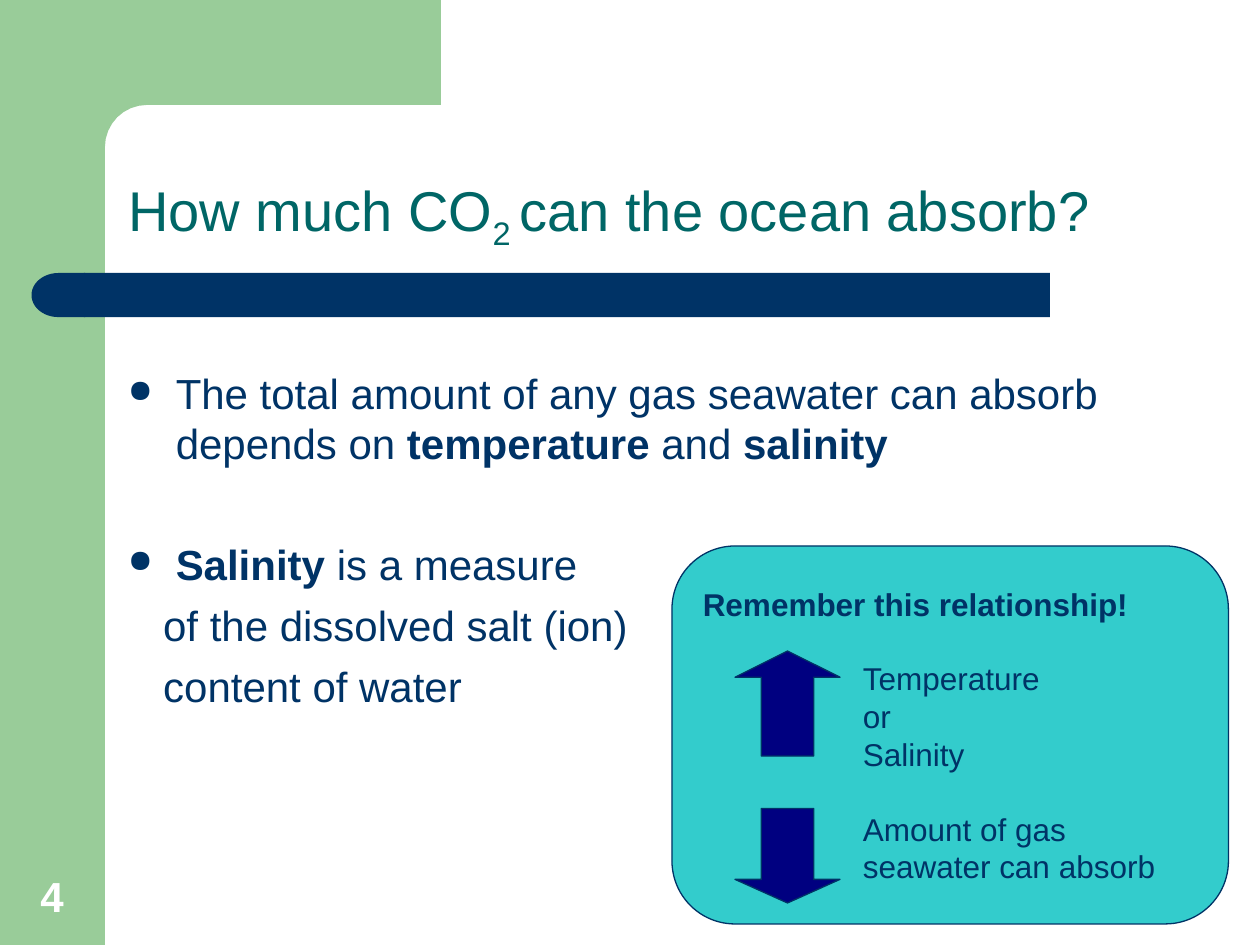
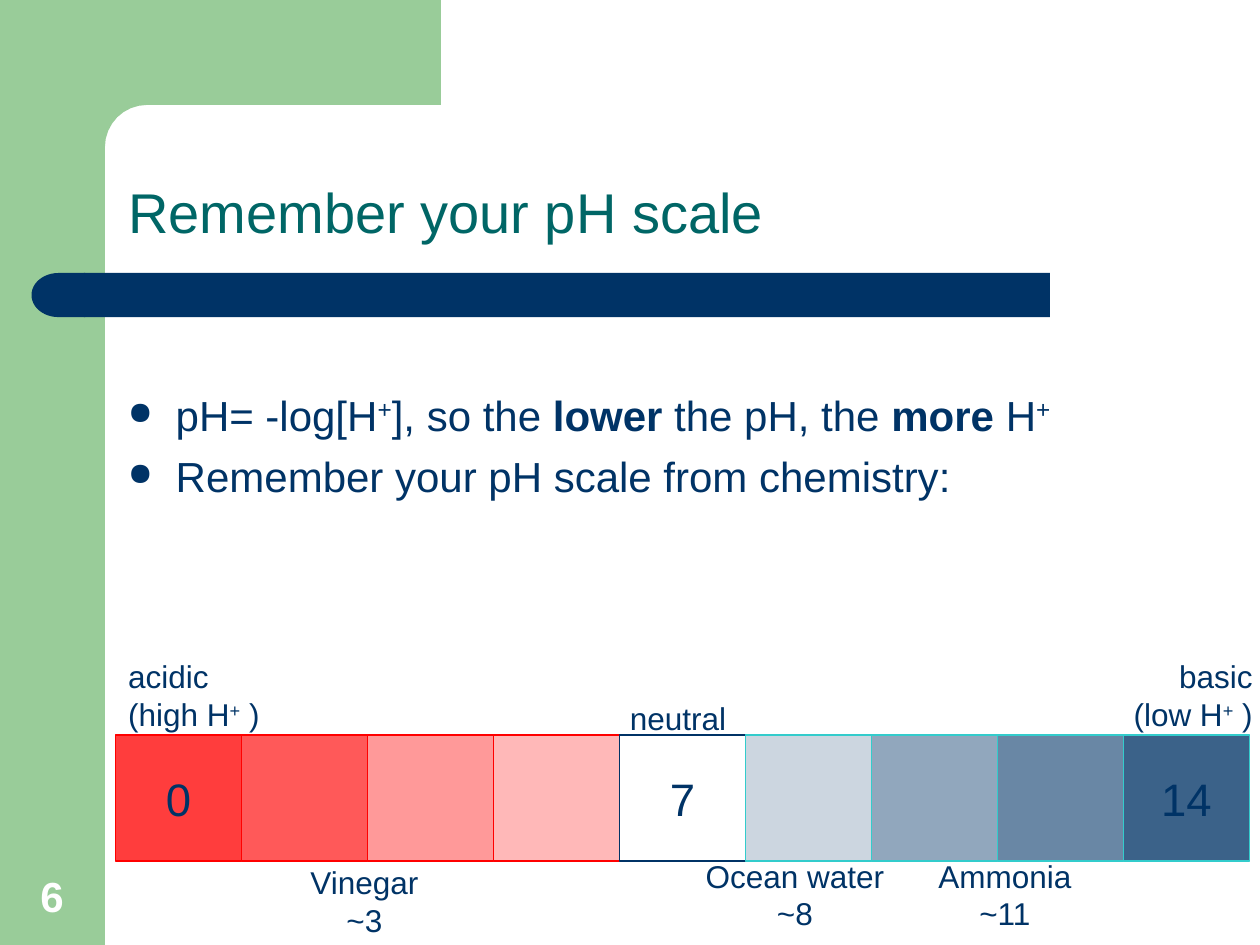
from dataclasses import dataclass
from math import cos, pi, sin

from lxml.etree import SubElement
from pptx import Presentation
from pptx.dml.color import RGBColor
from pptx.enum.shapes import MSO_SHAPE as Shape
from pptx.enum.text import MSO_ANCHOR as Anchor, PP_ALIGN as Align
from pptx.oxml.ns import qn
from pptx.util import Inches, Pt

COLUMNS, ROWS = 120, 90
UNIT = Inches(10) // COLUMNS


@dataclass(frozen=True)
class Theme:
    font: str = "Arial"
    green: str = "99CC99"
    navy: str = "003366"
    teal: str = "006666"
    aqua: str = "33CCCC"
    arrow: str = "000080"
    red: str = "FF0000"
    white: str = "FFFFFF"
    title_size: float = 32
    body_size: float = 24
    label_size: float = 18
    scale_size: float = 26
    number_size: float = 24


THEME = Theme()
BASELINES = {"sub": "-25000", "sup": "30000"}


@dataclass(frozen=True)
class Box:
    """A rectangle in grid columns and rows."""
    x: float
    y: float
    w: float
    h: float

    def area(self, x, y, w, h):
        return Box(self.x + x, self.y + y, w, h)

    def emu(self):
        return [round(value * UNIT) for value in (self.x, self.y, self.w, self.h)]


def apply(target, values):
    for name, value in values.items():
        setattr(target, name, value)


def color(value):
    return RGBColor.from_string(value)


def set_frame(frame, anchor=Anchor.TOP, side=0.1):
    apply(frame, dict(word_wrap=True, vertical_anchor=anchor,
                      margin_left=Inches(side), margin_right=Inches(side),
                      margin_top=Inches(0.05), margin_bottom=Inches(0.05)))


def write(para, spans, size, ink=THEME.navy, **layout):
    """Fill a paragraph from a string or a list of strings and (text, style) pairs."""
    apply(para, layout)
    for item in [spans] if isinstance(spans, str) else spans:
        text, style = (item, "") if isinstance(item, str) else item
        span = para.add_run()
        span.text = text
        apply(span.font, dict(name=THEME.font, size=Pt(size), bold=style == "bold"))
        span.font.color.rgb = color(ink)
        if style in BASELINES:
            span.font._element.set("baseline", BASELINES[style])


def paragraphs(frame, count):
    return [frame.paragraphs[0]] + [frame.add_paragraph() for _ in range(count - 1)]


def indent(para, left, hanging=0.0):
    props = para._p.get_or_add_pPr()
    props.set("marL", str(Inches(left)))
    props.set("indent", str(-Inches(hanging)))
    return props


def add_bullet(para):
    props = indent(para, 0.38, 0.38)
    SubElement(SubElement(props, qn("a:buClr")), qn("a:srgbClr"), val=THEME.navy)
    SubElement(props, qn("a:buSzPct"), val="75000")
    SubElement(props, qn("a:buChar"), char="●")


def paint(shape, fill, line=None, opacity=None):
    shape.shadow.inherit = False
    shape.fill.solid()
    shape.fill.fore_color.rgb = color(fill)
    if opacity is not None:
        tint = shape._element.spPr.find(f"{qn('a:solidFill')}/{qn('a:srgbClr')}")
        SubElement(tint, qn("a:alpha"), val=str(opacity * 1000))
    if line:
        shape.line.color.rgb = color(line)
        shape.line.width = Pt(0.75)
    else:
        shape.line.fill.background()


def add_block(page, kind, box, fill, line=None, opacity=None, rotation=0):
    shape = page.shapes.add_shape(kind, *box.emu())
    paint(shape, fill, line, opacity)
    shape.rotation = rotation
    return shape


def add_text_box(page, box, **frame_format):
    frame = page.shapes.add_textbox(*box.emu()).text_frame
    set_frame(frame, **frame_format)
    return frame


def add_green_corner(page, box, band, radius=4):
    """Top band that curves into the side band, whose width is `band`."""
    center = band + radius
    arc = [(center - radius * sin(step * pi / 16), center - radius * cos(step * pi / 16))
           for step in range(9)]
    inner = 6
    outline = [(box.w, 0), (box.w, band), *arc, (band, box.h), (inner, box.h), (inner, 0)]
    points = [(round((box.x + x) * UNIT), round((box.y + y) * UNIT)) for x, y in outline]
    builder = page.shapes.build_freeform(*points[0], scale=1.0)
    builder.add_line_segments(points[1:], close=True)
    paint(builder.convert_to_shape(), THEME.green)


def add_decoration(page, box):
    band = 10
    add_block(page, Shape.RECTANGLE, box.area(0, 0, band, box.h), THEME.green)
    add_green_corner(page, box.area(0, 0, 42, 15.4), band)
    add_block(page, Shape.RECTANGLE, box.area(8, 26, 92, 4.2), THEME.navy)
    add_block(page, Shape.FLOWCHART_DELAY, box.area(3, 26, 5.1, 4.2), THEME.navy, rotation=180)


def add_page(deck, title, number):
    page = deck.slides.add_slide(deck.slide_layouts[5])
    whole = Box(0, 0, COLUMNS, ROWS)
    add_decoration(page, whole)
    heading = page.shapes.title
    left, top, width, height = whole.area(11, 11, 102, 13).emu()
    apply(heading, dict(left=left, top=top, width=width, height=height))
    set_frame(heading.text_frame, Anchor.BOTTOM)
    write(heading.text_frame.paragraphs[0], title, THEME.title_size, THEME.teal,
          alignment=Align.LEFT, line_spacing=0.9)
    frame = add_text_box(page, whole.area(1.1, 82, 7.7, 6.3), anchor=Anchor.BOTTOM)
    write(frame.paragraphs[0], [(number, "bold")], THEME.number_size, THEME.white,
          alignment=Align.CENTER)
    return page


def add_body(page, box, items):
    """Place (spans, is bulleted, space before) items."""
    frame = add_text_box(page, box)
    for para, (spans, bulleted, gap) in zip(paragraphs(frame, len(items)), items):
        if bulleted:
            add_bullet(para)
        else:
            indent(para, 0.28)
        write(para, spans, THEME.body_size, space_before=Pt(gap))


def add_relationship_panel(page, box):
    panel = add_block(page, Shape.ROUNDED_RECTANGLE, box, THEME.aqua, THEME.navy)
    set_frame(panel.text_frame, Anchor.MIDDLE)
    line_gap = 21
    lines = [([("Remember this relationship!", "bold")], 0, 0),
             ("Temperature", 1.27, line_gap), ("or", 1.27, 0), ("Salinity", 1.27, 0),
             ("Amount of gas", 1.27, line_gap), ("seawater can absorb", 1.27, 0)]
    for para, (spans, left, gap) in zip(paragraphs(panel.text_frame, len(lines)), lines):
        indent(para, left)
        write(para, spans, THEME.label_size, alignment=Align.LEFT, space_before=Pt(gap))
    for top, height, rotation in [(10, 10, 0), (25, 9, 180)]:
        arrow = add_block(page, Shape.UP_ARROW, box.area(6, top, 10, height),
                          THEME.arrow, THEME.navy, rotation=rotation)
        arrow.adjustments[1] = 0.25


def add_ph_scale(page, box):
    acids = [(THEME.red, THEME.red, opacity) for opacity in (76, 65, 40, 28)]
    bases = [(THEME.navy, THEME.aqua, opacity) for opacity in (20, 43, 59, 77)]
    cells = [*acids, (THEME.white, THEME.navy, None), *bases]
    values = {0: "0", 4: "7", 8: "14"}
    width = box.w / len(cells)
    for index, (fill, line, opacity) in enumerate(cells):
        cell = add_block(page, Shape.RECTANGLE, box.area(index * width, 0, width, box.h),
                         fill, line, opacity)
        if index in values:
            set_frame(cell.text_frame, Anchor.MIDDLE)
            write(cell.text_frame.paragraphs[0], values[index], THEME.scale_size,
                  alignment=Align.CENTER)


def add_scale_labels(page, box):
    """Place the labels above and below the pH scale in `box`."""
    plus = ("+", "sup")
    labels = [
        (0.6, -8, 15, Align.LEFT, ["acidic", ["(high H", plus, " )"]]),
        (48.4, -4, 12, Align.LEFT, ["neutral"]),
        (93.9, -8, 15, Align.RIGHT, ["basic", ["(low H", plus, " )"]]),
        (16.2, 11.6, 15, Align.CENTER, ["Vinegar", "~3"]),
        (54.7, 11, 20, Align.CENTER, ["Ocean water", "~8"]),
        (77.2, 11, 15, Align.CENTER, ["Ammonia", "~11"]),
    ]
    for left, top, width, alignment, lines in labels:
        frame = add_text_box(page, box.area(left, top, width, 4.2 * len(lines)), side=0.05)
        for para, spans in zip(paragraphs(frame, len(lines)), lines):
            write(para, spans, THEME.label_size, alignment=alignment)


def build_absorption_page(deck):
    page = add_page(deck, ["How much CO", ("2 ", "sub"), "can the ocean absorb?"], "4")
    add_body(page, Box(11, 34.4, 105, 52), [
        (["The total amount of any gas seawater can absorb depends on ",
          ("temperature", "bold"), " and ", ("salinity", "bold")], True, 0),
        ([("Salinity ", "bold"), "is a measure"], True, 40),
        ("of the dissolved salt (ion)", False, 6),
        ("content of water", False, 6),
    ])
    add_relationship_panel(page, Box(64, 52, 53, 36))


def build_ph_page(deck):
    page = add_page(deck, "Remember your pH scale", "6")
    add_body(page, Box(11, 36.5, 101, 20), [
        (["pH= -log[H", ("+", "sup"), "], so the ", ("lower", "bold"), " the pH, the ",
          ("more ", "bold"), "H", ("+", "sup")], True, 0),
        ("Remember your pH scale from chemistry:", True, 6),
    ])
    scale = Box(11, 70, 108, 12)
    add_ph_scale(page, scale)
    add_scale_labels(page, scale)


def main():
    deck = Presentation()
    apply(deck, dict(slide_width=COLUMNS * UNIT, slide_height=ROWS * UNIT))
    build_absorption_page(deck)
    build_ph_page(deck)
    deck.save("out.pptx")


if __name__ == "__main__":
    main()
